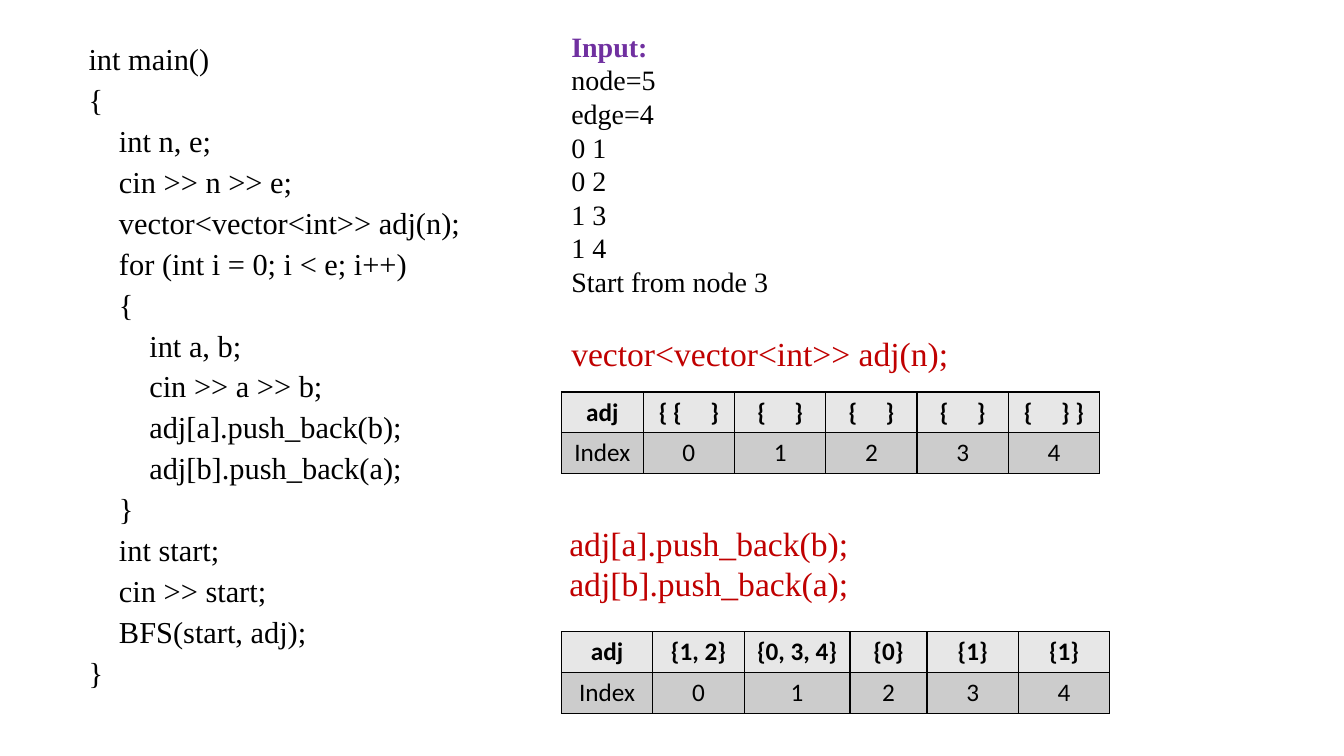
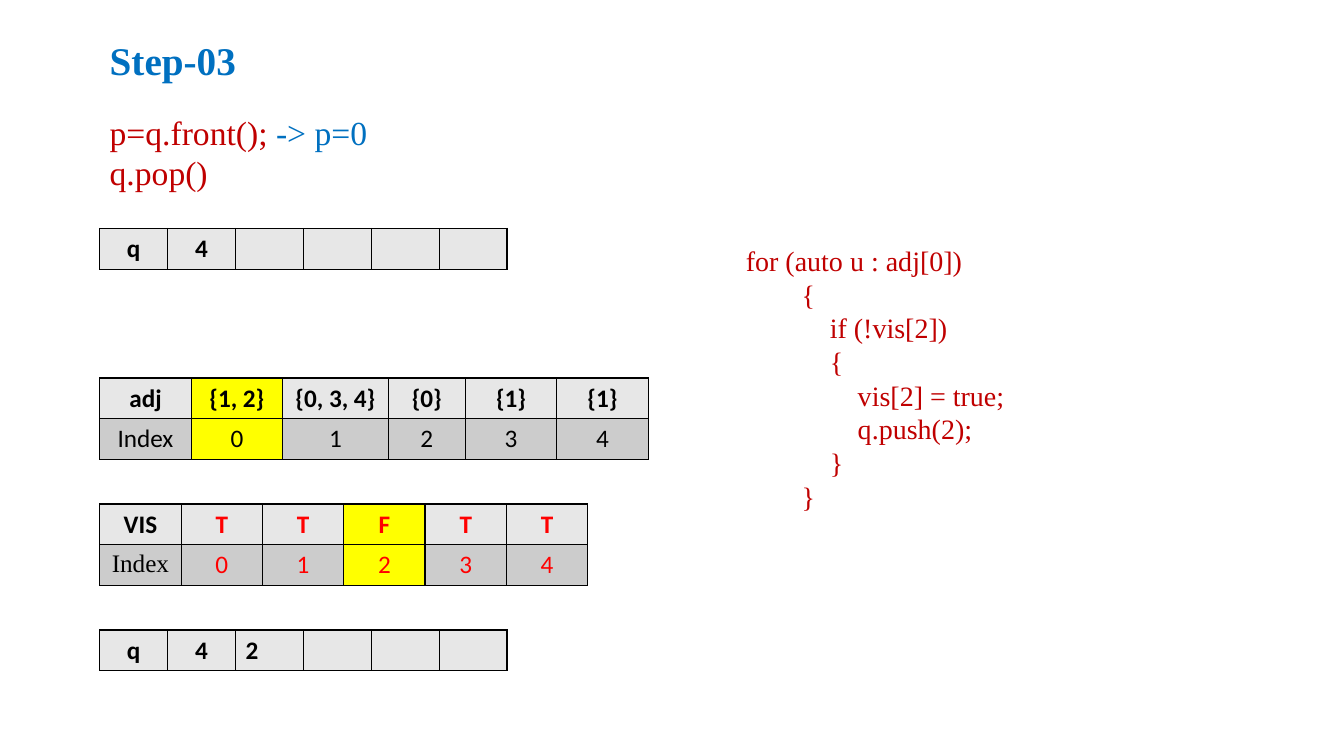
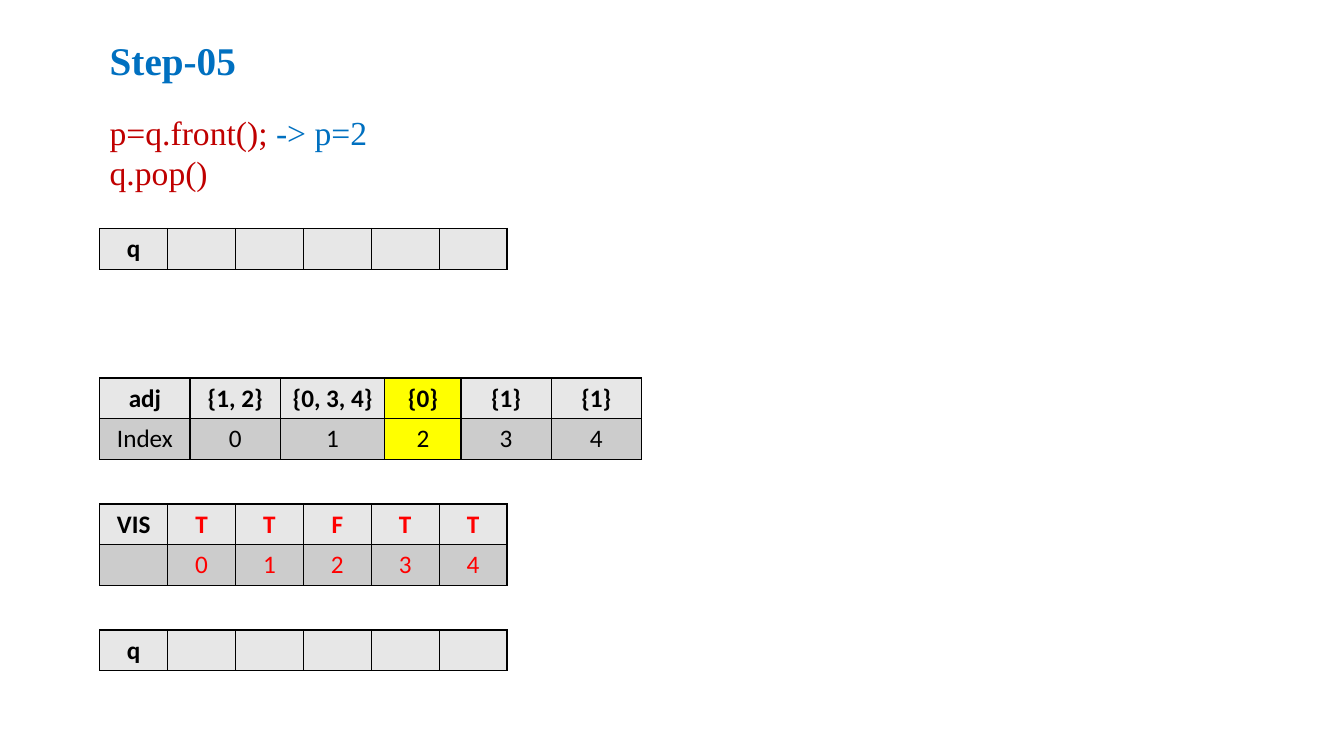
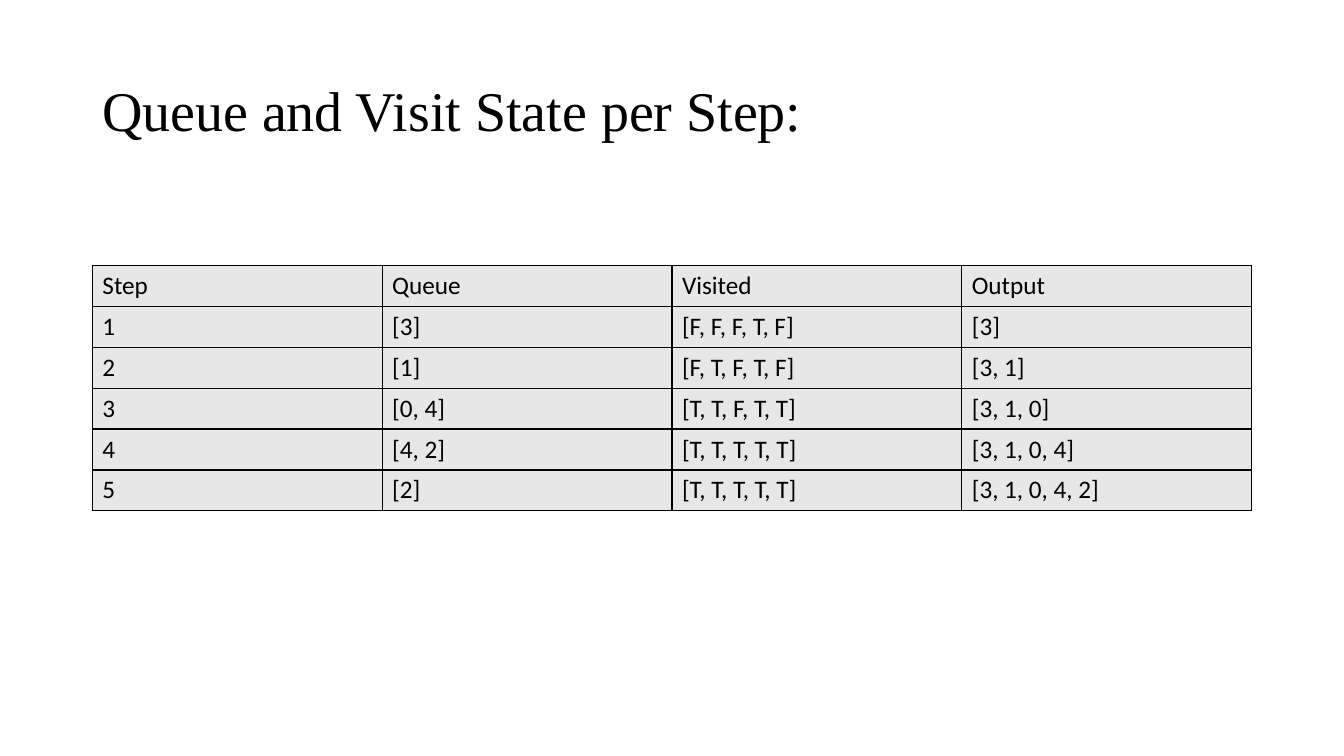
"""Build four slides that trace a breadth-first search step by step."""
import pptx
import pptx.dml.color
import pptx.enum.text
import pptx.oxml.ns
import pptx.util
from lxml import etree

Pt = pptx.util.Pt
ALIGN = pptx.enum.text.PP_ALIGN
ANCHOR = pptx.enum.text.MSO_ANCHOR
AUTO_SIZE = pptx.enum.text.MSO_AUTO_SIZE

COLORS = {
    "ink": "000000",
    "code": "C00000",
    "step": "0070C0",
    "input": "7030A0",
    "visited": "FF0000",
    "value_row": "E7E7E7",
    "index_row": "CCCCCC",
    "highlight": "FFFF00",
}
SERIF = "Times New Roman"
SANS = "Calibri"
ROW_HEIGHT = 29.2
STEP_LEFT = 71.3
QUEUE_WIDTH = 291
EQUAL = [1] * 6
ADJ_WEIGHTS = [65.3, 65.3, 75.6, 55, 65.3, 65.3]
ADJ_WIDTH = sum(ADJ_WEIGHTS)
ADJ_LISTS = ["adj", "{1, 2}", "{0, 3, 4}", "{0}", "{1}", "{1}"]
INDEX = ["Index", "0", "1", "2", "3", "4"]
WIDE_GAP = (" ", {"spacing": 16.3})

MAIN_CODE = [
    (0, "int main()"),
    (0, "{"),
    (1, "int n, e;"),
    (1, "cin >> n >> e;"),
    (1, "vector<vector<int>> adj(n);"),
    (1, "for (int i = 0; i < e; i++)"),
    (1, "{"),
    (2, "int a, b;"),
    (2, "cin >> a >> b;"),
    (2, "adj[a].push_back(b);"),
    (2, "adj[b].push_back(a);"),
    (1, "}"),
    (1, "int start;"),
    (1, "cin >> start;"),
    (1, "BFS(start, adj);"),
    (0, "}"),
]
VISIT_CODE = [
    (0, "for (auto u : adj[0])"),
    (2, "{"),
    (3, "if (!vis[2])"),
    (3, "{"),
    (4, "vis[2] = true;"),
    (4, "q.push(2);"),
    (3, "}"),
    (2, "}"),
]
STATES = [
    ["Step", "Queue", "Visited", "Output"],
    ["1", "[3]", "[F, F, F, T, F]", "[3]"],
    ["2", "[1]", "[F, T, F, T, F]", "[3, 1]"],
    ["3", "[0, 4]", "[T, T, F, T, T]", "[3, 1, 0]"],
    ["4", "[4, 2]", "[T, T, T, T, T]", "[3, 1, 0, 4]"],
    ["5", "[2]", "[T, T, T, T, T]", "[3, 1, 0, 4, 2]"],
]


def rgb(name):
    """Return the named colour."""
    return pptx.dml.color.RGBColor.from_string(COLORS[name])


def add_runs(paragraph, content, size, font=SERIF, color="ink", bold=False):
    """Write a string, or (text, overrides) pairs, into a paragraph."""
    for text, overrides in [(content, {})] if isinstance(content, str) else content:
        run = paragraph.add_run()
        run.text = text
        run.font.size = Pt(size)
        run.font.name = font
        run.font.bold = overrides.get("bold", bold)
        run.font.color.rgb = rgb(overrides.get("color", color))
        if "spacing" in overrides:
            run.font._element.set("spc", str(round(overrides["spacing"] * 100)))


def add_text(slide, box, lines, size, color="ink", bold=False, leading=None, before=0):
    """Add a text box whose lines are (level, content) pairs."""
    frame = slide.shapes.add_textbox(*map(Pt, box)).text_frame
    frame.word_wrap = True
    frame.auto_size = AUTO_SIZE.NONE
    for number, (level, content) in enumerate(lines):
        paragraph = frame.add_paragraph() if number else frame.paragraphs[0]
        paragraph.space_before = Pt(before)
        if leading:
            paragraph.line_spacing = leading
        if level:
            properties = paragraph._p.get_or_add_pPr()
            properties.set("marL", str(Pt(level * size)))
            properties.set("indent", "0")
        add_runs(paragraph, content, size, color=color, bold=bold)
    return frame


def flat(*contents):
    """Give each content the outermost level."""
    return [(0, content) for content in contents]


def add_borders(cell):
    """Draw a thin line on all four sides of a cell."""
    properties = cell._tc.get_or_add_tcPr()
    for place, side in enumerate(("lnL", "lnR", "lnT", "lnB")):
        line = etree.Element(pptx.oxml.ns.qn("a:" + side), w=str(Pt(1)))
        fill = etree.SubElement(line, pptx.oxml.ns.qn("a:solidFill"))
        etree.SubElement(fill, pptx.oxml.ns.qn("a:srgbClr"), val=COLORS["ink"])
        properties.insert(place, line)


def add_grid(slide, left, top, width, weights, rows, style, row_height=ROW_HEIGHT):
    """Add a bordered table, each cell styled by style(row, column)."""
    table = slide.shapes.add_table(
        len(rows), len(weights), Pt(left), Pt(top), Pt(width), Pt(row_height * len(rows))
    ).table
    table.first_row = table.horz_banding = False
    for column, weight in zip(table.columns, weights):
        column.width = Pt(width * weight / sum(weights))
    for r, contents in enumerate(rows):
        table.rows[r].height = Pt(row_height)
        for c, content in enumerate(contents):
            look = style(r, c)
            cell = table.cell(r, c)
            cell.fill.solid()
            cell.fill.fore_color.rgb = rgb(look.pop("fill"))
            add_borders(cell)
            paragraph = cell.text_frame.paragraphs[0]
            paragraph.alignment = look.pop("align", ALIGN.CENTER)
            if content:
                add_runs(paragraph, content, 18, **{"font": SANS, **look})


def array_style(marked=None, color="ink"):
    """Style bold values over plain indices, with one marked column."""
    def style(row, column):
        fill = "index_row" if row else "value_row"
        return {
            "fill": "highlight" if column == marked else fill,
            "bold": row == 0,
            "color": color if column else "ink",
        }
    return style


def add_adj(slide, left, top, width=ADJ_WIDTH, marked=None):
    """Add the filled adjacency list."""
    add_grid(slide, left, top, width, ADJ_WEIGHTS, [ADJ_LISTS, INDEX], array_style(marked))


def add_queue(slide, top, values, left_aligned=None):
    """Add the queue as one row of six cells."""
    def style(row, column):
        align = ALIGN.LEFT if column == left_aligned else ALIGN.CENTER
        return {**array_style()(row, column), "align": align}

    cells = ["q", *values] + [""] * (5 - len(values))
    add_grid(slide, STEP_LEFT, top, QUEUE_WIDTH, EQUAL, [cells], style)


def add_visited(slide, width, label, marked=None):
    """Add the visited flags above their indices."""
    def style(row, column):
        look = array_style(marked, "visited")(row, column)
        return {**look, "font": SERIF} if row and not column else look

    rows = [["VIS", "T", "T", "F", "T", "T"], [label, *INDEX[1:]]]
    add_grid(slide, STEP_LEFT, 360, width, EQUAL, rows, style, 28.6)


def add_step(slide, title, front):
    """Add the heading and the dequeue lines of a step."""
    add_text(slide, (STEP_LEFT, 22.3, 267, 41), flat(title), 28, "step", True)
    dequeue = [("p=q.front(); ", {}), (f"-> p={front}", {"color": "step"})]
    add_text(slide, (STEP_LEFT, 76.3, 291, 65.5), flat(dequeue, "q.pop()"), 24, "code")


def build_input(slide):
    """Show the main program, its input and the adjacency list it builds."""
    add_text(slide, (56.2, 30.2, 828, 480), MAIN_CODE, 21.7, leading=0.81, before=8.1)
    heading = [("Input:", {"color": "input", "bold": True})]
    facts = flat(heading, "node=5", "edge=4", "0 1", "0 2", "1 3", "1 4", "Start from node 3")
    add_text(slide, (401, 17.3, 384.5, 201), facts, 20)
    add_text(slide, (401, 234, 296, 36), flat("vector<vector<int>> adj(n);"), 24, "code")
    empty = [("{", {}), WIDE_GAP, ("}", {})]
    empty_lists = ["adj", [("{ ", {}), *empty], empty, empty, empty, [*empty, (" }", {})]]
    weights = [58.5] + [65.2] * 5
    add_grid(slide, 401, 280, sum(weights), weights, [empty_lists, INDEX], array_style())
    pushes = flat("adj[a].push_back(b);", "adj[b].push_back(a);")
    add_text(slide, (399.6, 370, 374.4, 65.5), pushes, 24, "code")
    add_adj(slide, 401, 451.2)


def build_step_three(slide):
    """Show node 0 leaving the queue and node 2 entering it."""
    add_step(slide, "Step-03", 0)
    add_queue(slide, 163.2, ["4"])
    add_adj(slide, STEP_LEFT, 270, marked=1)
    add_visited(slide, 348.5, "Index", marked=3)
    add_queue(slide, 450, ["4", "2"], left_aligned=2)
    add_text(slide, (525.6, 170.6, 332.6, 225.4), VISIT_CODE, 20, "code")


def build_step_five(slide):
    """Show node 2 leaving the queue empty."""
    add_step(slide, "Step-05", 2)
    add_queue(slide, 163.2, [])
    add_adj(slide, STEP_LEFT, 270, 387, marked=3)
    add_visited(slide, QUEUE_WIDTH, "")
    add_queue(slide, 450, [])


def build_states(slide):
    """Tabulate queue, visited flags and output for each step."""
    title = flat("Queue and Visit State per Step:")
    frame = add_text(slide, (66, 28.8, 828, 104.4), title, 40, leading=0.9)
    frame.vertical_anchor = ANCHOR.MIDDLE
    add_grid(slide, 66, 189.7, 828, [1] * 4, STATES,
             lambda row, column: {"fill": "value_row", "align": ALIGN.LEFT})


def main():
    """Build and save the presentation."""
    deck = pptx.Presentation()
    deck.slide_width, deck.slide_height = Pt(960), Pt(540)
    for build in (build_input, build_step_three, build_step_five, build_states):
        build(deck.slides.add_slide(deck.slide_layouts[6]))
    deck.save("out.pptx")


if __name__ == "__main__":
    main()
